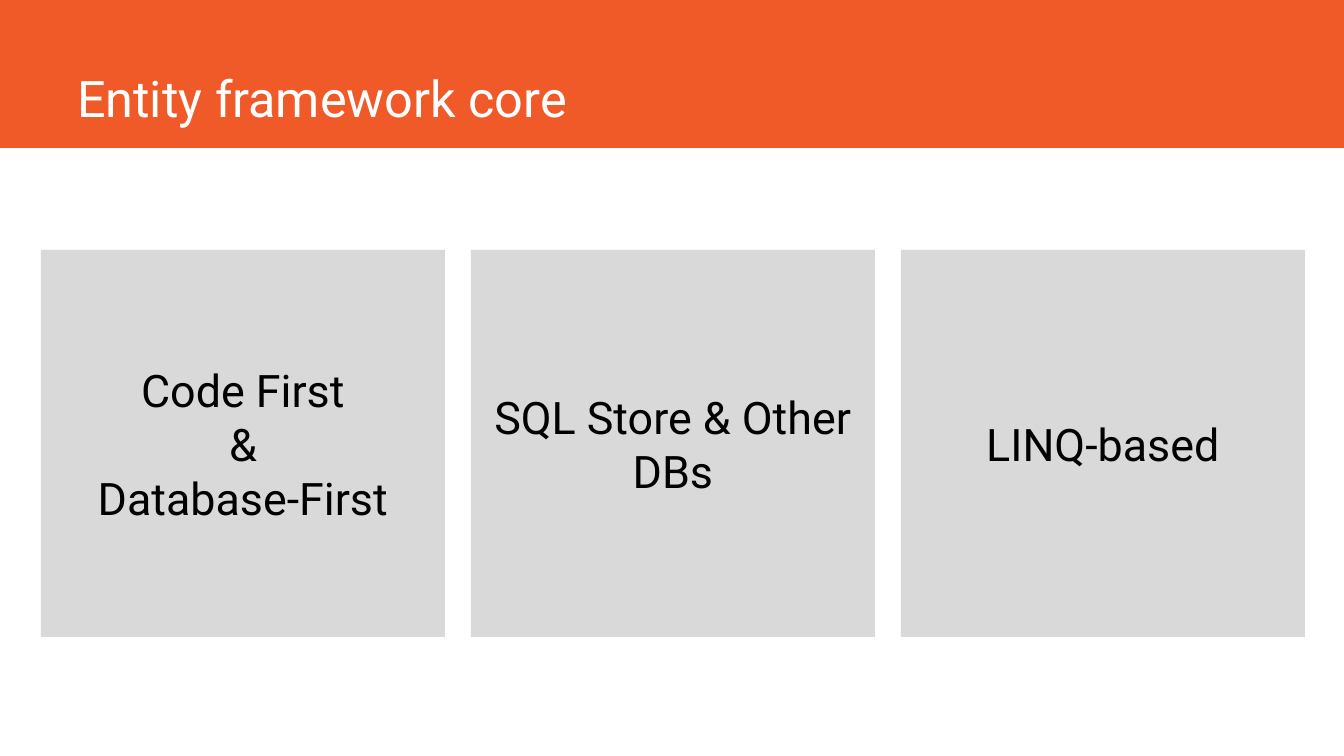
from pptx import Presentation
from pptx import util as u
from pptx.dml.color import RGBColor
from pptx.enum import shapes, text

COLORS = {"orange": "F05A28", "gray": "D9D9D9", "white": "FFFFFF", "black": "000000"}
FONT = "Roboto"


def px(*lengths):
    return [u.Emu(round(length * 914400 / 100.8)) for length in lengths]


def style(paragraph, size, color, alignment):
    paragraph.alignment = alignment
    paragraph.font.name = FONT
    paragraph.font.size = u.Pt(size)
    paragraph.font.color.rgb = RGBColor.from_string(COLORS[color])


presentation = Presentation()
presentation.slide_width, presentation.slide_height = px(1344, 756)
slide = presentation.slides.add_slide(presentation.slide_layouts[5])

# Header band, placed behind the title
band = slide.shapes.add_shape(shapes.MSO_SHAPE.RECTANGLE, *px(0, 0, 1344, 147))
band.shadow.inherit = False
band.fill.solid()
band.fill.fore_color.rgb = RGBColor.from_string(COLORS["orange"])
band.line.color.rgb = RGBColor.from_string(COLORS["orange"])
band.line.width = u.Pt(1)
title = slide.shapes.title
title.element.addprevious(band.element)

# Title
title.left, title.top, title.width, title.height = px(67, 0, 1185, 133)
title.text_frame.text = "Entity framework core"
title.text_frame.vertical_anchor = text.MSO_ANCHOR.BOTTOM
title.text_frame.auto_size = text.MSO_AUTO_SIZE.NONE
style(title.text_frame.paragraphs[0], 36, "white", text.PP_ALIGN.LEFT)

# Three feature cards
CARD_LEFT, CARD_TOP, CARD_WIDTH, CARD_HEIGHT, CARD_GAP = 41, 250, 404, 387, 26
features = [
    ["Code First", "&", "Database-First"],
    ["SQL Store & Other DBs"],
    ["LINQ-based"],
]
for column, lines in enumerate(features):
    left = CARD_LEFT + column * (CARD_WIDTH + CARD_GAP)
    card = slide.shapes.add_shape(
        shapes.MSO_SHAPE.RECTANGLE, *px(left, CARD_TOP, CARD_WIDTH, CARD_HEIGHT))
    card.shadow.inherit = False
    card.fill.solid()
    card.fill.fore_color.rgb = RGBColor.from_string(COLORS["gray"])
    card.line.fill.background()
    frame = card.text_frame
    frame.word_wrap = True
    frame.vertical_anchor = text.MSO_ANCHOR.MIDDLE
    frame.text = "\n".join(lines)
    for paragraph in frame.paragraphs:
        style(paragraph, 32, "black", text.PP_ALIGN.CENTER)

presentation.save("out.pptx")
